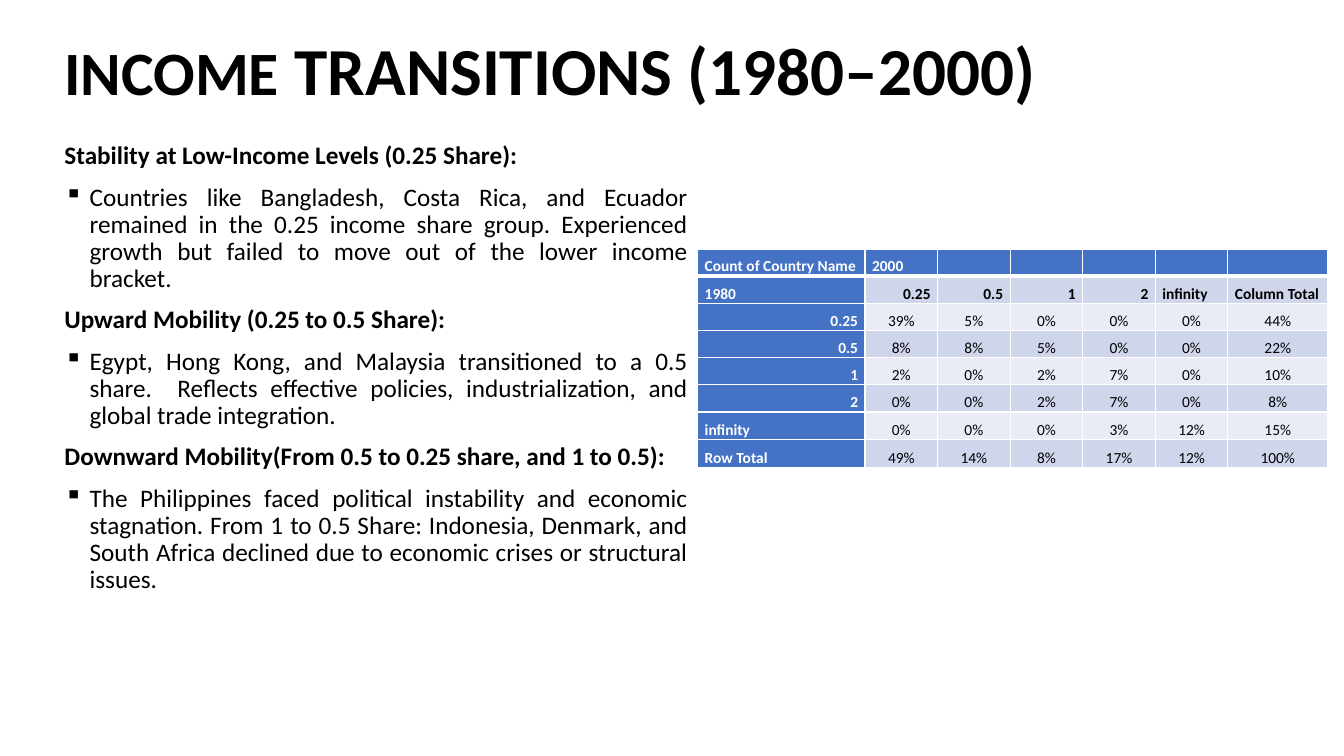
import pptx
import pptx.util
import pptx.dml.color
import pptx.enum.text
import pptx.oxml
import pptx.oxml.ns
import lxml.etree

Pt = pptx.util.Pt
RGB = pptx.dml.color.RGBColor
ALIGN = pptx.enum.text.PP_ALIGN
ANCHOR = pptx.enum.text.MSO_ANCHOR
qn = pptx.oxml.ns.qn

SCALE = 9144
FACE = "Calibri"
BLACK = RGB(0x00, 0x00, 0x00)
WHITE = RGB(0xFF, 0xFF, 0xFF)
BLUE = RGB(0x44, 0x72, 0xC4)
DARK = RGB(0xCF, 0xD5, 0xEA)
LIGHT = RGB(0xE9, 0xEB, 0xF5)

TITLE = [("INCOME", 44), (" TRANSITIONS (1980–2000)", 48)]
POINTS = [
    ("Stability at Low-Income Levels (0.25 Share):",
     "Countries like Bangladesh, Costa Rica, and Ecuador remained in the 0.25 income share group. "
     "Experienced growth but failed to move out of the lower income bracket."),
    ("Upward Mobility (0.25 to 0.5 Share):",
     "Egypt, Hong Kong, and Malaysia transitioned to a 0.5 share.  Reflects effective policies, "
     "industrialization, and global trade integration."),
    ("Downward Mobility(From 0.5 to 0.25 share, and 1 to 0.5):",
     "The Philippines faced political instability and economic stagnation. From 1 to 0.5 Share: "
     "Indonesia, Denmark, and South Africa declined due to economic crises or structural issues."),
]
WIDTHS = [166, 72, 72, 72, 72, 72, 99]
HEIGHTS = [27] * 7 + [28]
ROWS = [
    ["Count of Country Name", "2000", "", "", "", "", ""],
    ["1980", "0.25", "0.5", "1", "2", "infinity", "Column Total"],
    ["0.25", "39%", "5%", "0%", "0%", "0%", "44%"],
    ["0.5", "8%", "8%", "5%", "0%", "0%", "22%"],
    ["1", "2%", "0%", "2%", "7%", "0%", "10%"],
    ["2", "0%", "0%", "2%", "7%", "0%", "8%"],
    ["infinity", "0%", "0%", "0%", "3%", "12%", "15%"],
    ["Row Total", "49%", "14%", "8%", "17%", "12%", "100%"],
]
KEYS = {"0.25", "0.5", "1", "2"}


def px(n):
    return pptx.util.Emu(n * SCALE)


def style(font, size, color, bold):
    font.name = FACE
    font.size = Pt(size)
    font.color.rgb = color
    font.bold = bold


def add_box(slide, left, top, width, height):
    frame = slide.shapes.add_textbox(px(left), px(top), px(width), px(height)).text_frame
    frame.word_wrap = True
    return frame


def add_title(slide):
    frame = add_box(slide, 54, 40, 1150, 66)
    frame.vertical_anchor = ANCHOR.MIDDLE
    para = frame.paragraphs[0]
    para.line_spacing = 0.9
    for text, size in TITLE:
        run = para.add_run()
        run.text = text
        style(run.font, size, BLACK, True)


def set_bullet(para):
    props = para._p.get_or_add_pPr()
    props.set("marL", str(px(25)))
    props.set("indent", str(px(-25)))
    mark = lxml.etree.Element(qn("a:buChar"), char="▪")
    props.insert_element_before(mark, "a:tabLst", "a:defRPr", "a:extLst")


def add_points(slide):
    frame = add_box(slide, 54, 137, 638, 589)
    para = frame.paragraphs[0]
    for head, body in POINTS:
        for text, bold in ((head, True), (body, False)):
            if para.text:
                para = frame.add_paragraph()
            para.text = text
            para.alignment = ALIGN.JUSTIFY
            para.line_spacing = 0.9
            para.space_before = Pt(10)
            style(para.font, 18, BLACK, bold)
            if not bold:
                set_bullet(para)


def set_edges(cell, row):
    props = cell._tc.get_or_add_tcPr()
    thick = {0: "lnB", 1: "lnT"}.get(row)
    for spot, tag in enumerate(("lnL", "lnR", "lnT", "lnB")):
        width = Pt(3 if tag == thick else 1)
        edge = lxml.etree.Element(qn("a:" + tag), w=str(width))
        fill = lxml.etree.SubElement(edge, qn("a:solidFill"))
        lxml.etree.SubElement(fill, qn("a:srgbClr"), val=str(WHITE))
        props.insert(spot, edge)


def fill_cell(cell, row, col, text):
    head = row == 0 or col == 0
    cell.fill.solid()
    cell.fill.fore_color.rgb = BLUE if head else DARK if row % 2 else LIGHT
    cell.vertical_anchor = ANCHOR.BOTTOM
    cell.margin_left = cell.margin_right = px(7)
    cell.margin_top = cell.margin_bottom = 0
    para = cell.text_frame.paragraphs[0]
    para.text = text
    if row > 1 and col > 0:
        para.alignment = ALIGN.CENTER
    else:
        para.alignment = ALIGN.RIGHT if text in KEYS else ALIGN.LEFT
    para.line_spacing = 1.07
    para.space_after = Pt(8)
    style(para.font, 11, WHITE if head else BLACK, head or row == 1)
    if not text:
        lxml.etree.SubElement(para._p, qn("a:endParaRPr"), sz="1100")
    set_edges(cell, row)


def add_grid(slide):
    frame = slide.shapes.add_table(len(ROWS), len(WIDTHS), px(692), px(247),
                                   px(sum(WIDTHS)), px(sum(HEIGHTS)))
    table = frame.table
    table.first_row = table.horz_banding = False
    for col, width in zip(table.columns, WIDTHS):
        col.width = px(width)
    for row, height in zip(table.rows, HEIGHTS):
        row.height = px(height)
    for i, line in enumerate(ROWS):
        for j, text in enumerate(line):
            fill_cell(table.cell(i, j), i, j, text)


def main():
    deck = pptx.Presentation()
    deck.slide_width = px(1333)
    deck.slide_height = px(750)
    slide = deck.slides.add_slide(deck.slide_layouts[6])
    add_title(slide)
    add_points(slide)
    add_grid(slide)
    deck.save("out.pptx")


if __name__ == "__main__":
    main()
